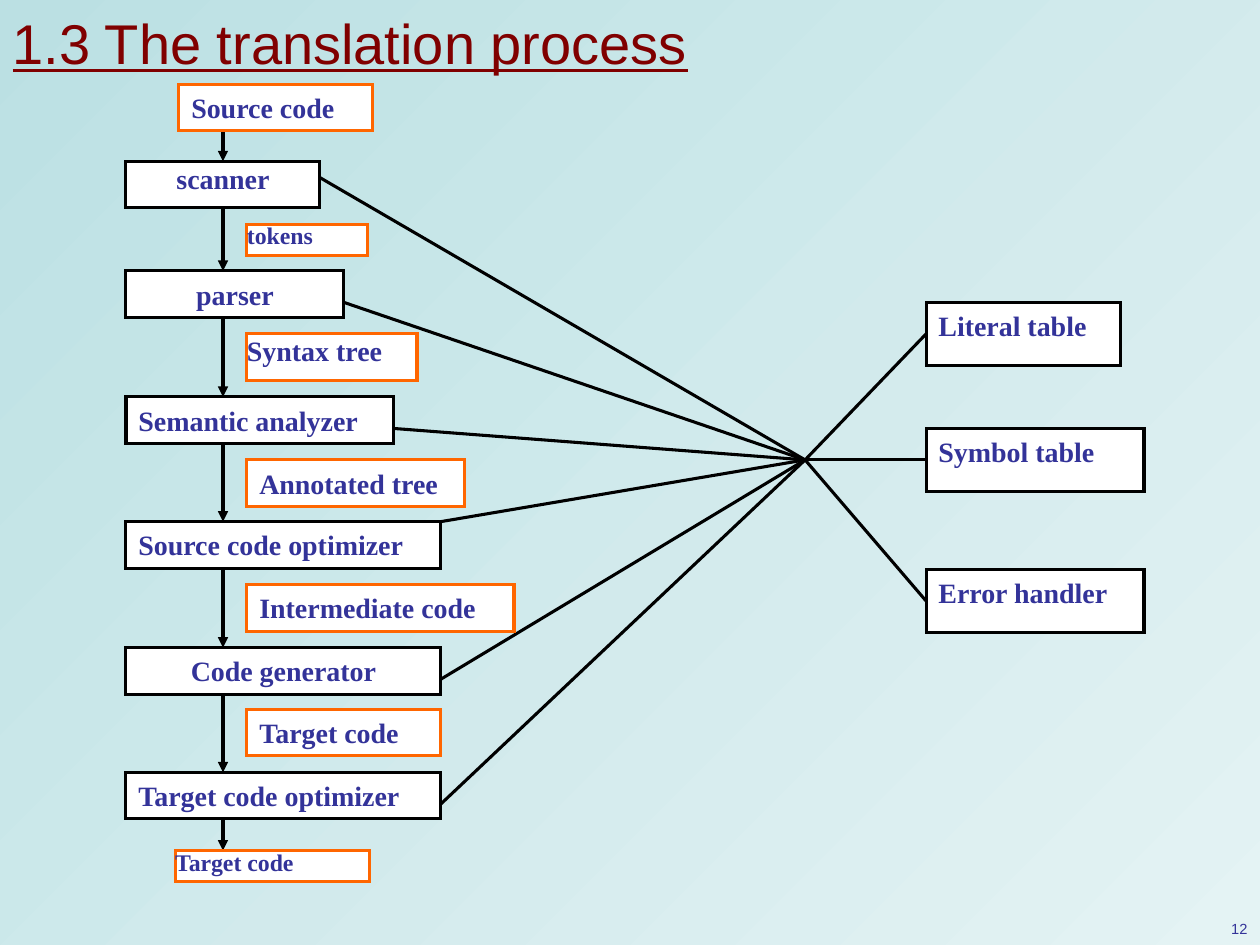
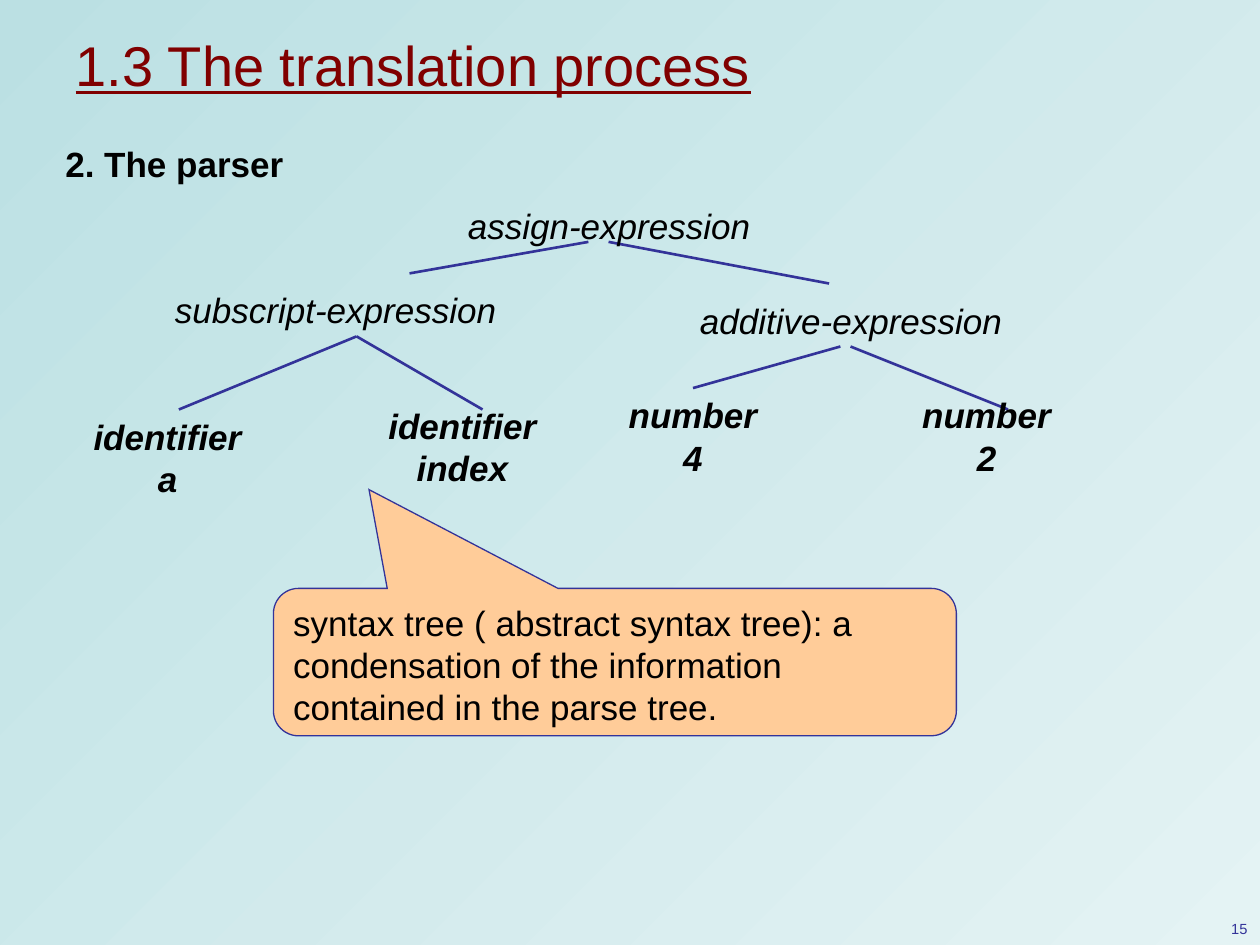
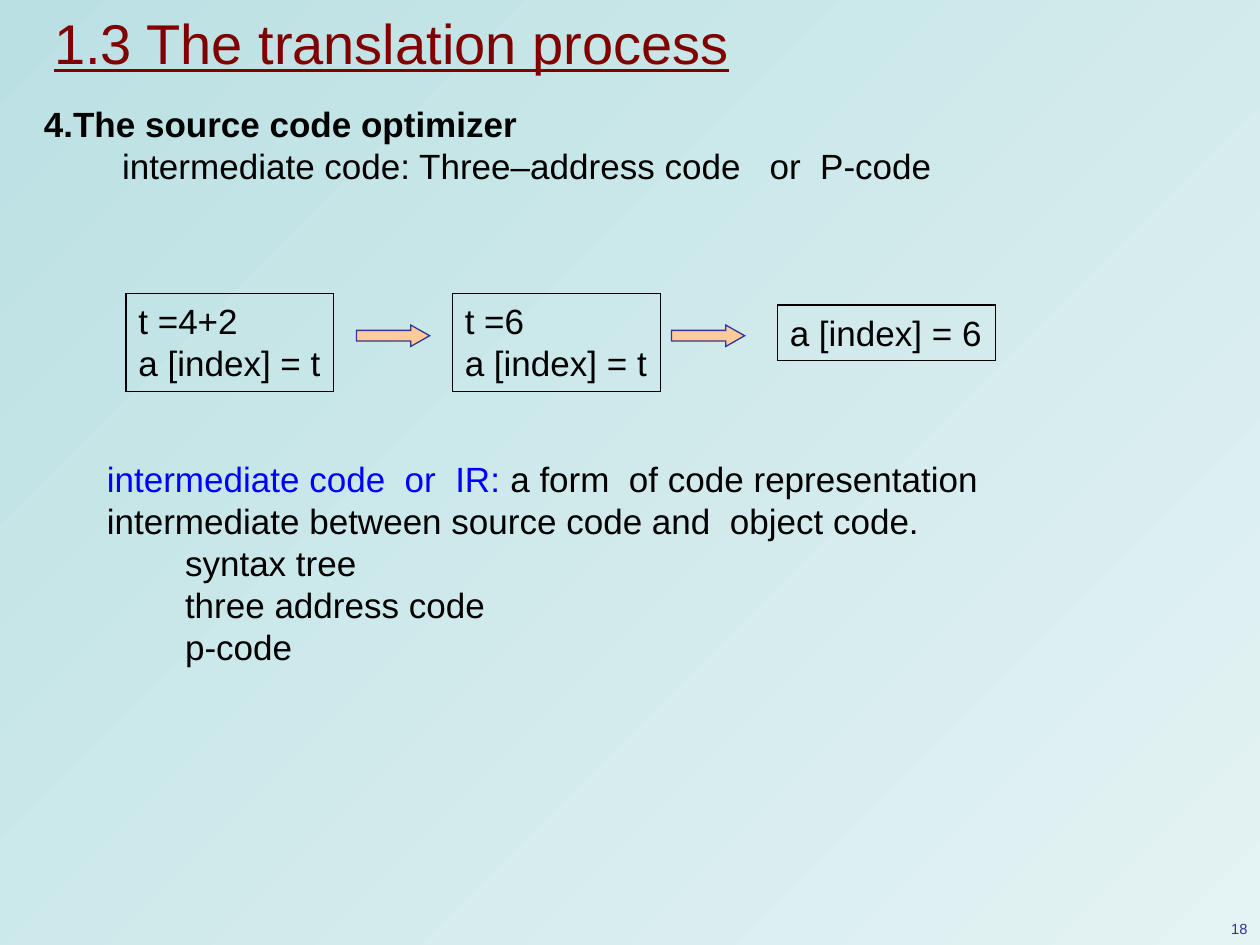
from dataclasses import dataclass
from itertools import pairwise
from typing import Optional, Sequence

from lxml import etree
from pptx import Presentation
from pptx import util as u
from pptx.dml import color as dml
from pptx.enum import shapes, text
from pptx.oxml import ns

COLORS = {
    "sky": "BBE0E3",
    "mist": "E4F3F4",
    "maroon": "800000",
    "indigo": "333399",
    "blue": "0000FF",
    "black": "000000",
    "white": "FFFFFF",
    "orange": "FF6600",
    "peach": "FFCC99",
}
TITLE = "1.3 The translation process"
TITLE_ONLY = 5
ALIGN = text.PP_ALIGN
ANCHOR = text.MSO_ANCHOR
FIT = text.MSO_AUTO_SIZE
SHAPE = shapes.MSO_SHAPE


@dataclass(frozen=True)
class Span:
    words: str
    size: float = 20
    color: str = "black"
    font: str = "Arial"
    bold: bool = False
    italic: bool = False
    underline: bool = False


@dataclass(frozen=True)
class Para:
    spans: Sequence[Span]
    align: ALIGN = ALIGN.LEFT
    indent: float = 0
    spacing: Optional[float] = None
    before: float = 0


@dataclass(frozen=True)
class Box:
    words: str
    left: float
    top: float
    width: float
    height: float = 0.37
    align: ALIGN = ALIGN.JUSTIFY
    inset: bool = True
    size: float = 16
    spacing: Optional[float] = None


@dataclass(frozen=True)
class Node:
    lines: Sequence[str]
    left: float
    top: float
    width: float = 2.17
    bold: bool = False


@dataclass(frozen=True)
class Segment:
    start: tuple[float, float]
    end: tuple[float, float]


HUB = (6.39, 3.65)
FLOW_X = 1.77
STAGES = [
    Box("scanner", 1, 1.28, 1.54, align=ALIGN.CENTER, inset=False),
    Box("parser", 1, 2.15, 1.73, align=ALIGN.CENTER),
    Box("Semantic analyzer", 1, 3.15, 2.12),
    Box("Source code optimizer", 1, 4.14, 2.5),
    Box("Code generator", 1, 5.14, 2.5, align=ALIGN.CENTER),
    Box("Target code optimizer", 1, 6.13, 2.5),
]
FAN_TOPS = [1.41, 2.4, 3.4, 4.14, 5.39, 6.38]
TABLES = [
    Box("Literal table", 7.35, 2.4, 1.54, 0.5),
    Box("Symbol table", 7.35, 3.4, 1.73, 0.5),
    Box("Error handler", 7.35, 4.52, 1.73, 0.5),
]
SOURCE = Box("Source code", 1.42, 0.67, 1.54)
TARGET = Box("Target code", 1.39, 6.75, 1.54, 0.25, inset=False, size=13.6, spacing=0.9)
PRODUCTS = [
    SOURCE,
    Box("tokens", 1.96, 1.78, 0.96, 0.25, inset=False, size=13.6, spacing=0.9),
    Box("Syntax tree", 1.96, 2.65, 1.35, inset=False),
    Box("Annotated tree", 1.96, 3.65, 1.73),
    Box("Intermediate code", 1.96, 4.64, 2.12),
    Box("Target code", 1.96, 5.63, 1.54),
    TARGET,
]
TREE_NODES = [
    Node(["assign-expression"], 3.75, 1.58),
    Node(["subscript-expression"], 1.58, 2.25),
    Node(["additive-expression"], 5.67, 2.33),
    Node(["identifier", "a"], 0.58, 3.42, 1.5, True),
    Node(["identifier", "index"], 2.92, 3.33, 1.5, True),
    Node(["number", "4"], 4.75, 3.25, 1.5, True),
    Node(["number", "2"], 7.08, 3.25, 1.5, True),
]
TREE_EDGES = [
    Segment((4.67, 1.92), (3.25, 2.17)),
    Segment((4.83, 1.92), (6.58, 2.25)),
    Segment((2.83, 2.67), (1.42, 3.25)),
    Segment((2.83, 2.67), (3.83, 3.25)),
    Segment((6.67, 2.75), (5.5, 3.08)),
    Segment((6.75, 2.75), (8, 3.25)),
]
CODE_STEPS = [
    Node(["t =4+2", "a [index] = t"], 1, 2.33, 1.65),
    Node(["t =6", "a [index] = t"], 3.59, 2.33, 1.65),
    Node(["a [index] = 6"], 6.17, 2.42, 1.73),
]


def rgb(name: str) -> dml.RGBColor:
    return dml.RGBColor.from_string(COLORS[name])


def write(shape, paras: Sequence[Para], anchor=ANCHOR.TOP, wrap=True, inset=True, fit=FIT.NONE):
    frame = shape.text_frame
    frame.word_wrap = wrap
    frame.auto_size = fit
    frame.vertical_anchor = anchor
    frame.margin_left = frame.margin_right = u.Inches(0.1 if inset else 0)
    frame.margin_top = frame.margin_bottom = u.Inches(0.05 if inset else 0)
    for index, item in enumerate(paras):
        para = frame.add_paragraph() if index else frame.paragraphs[0]
        para.alignment = item.align
        para.space_before = u.Pt(item.before)
        if item.spacing:
            para.line_spacing = item.spacing
        if item.indent:
            properties = para._p.get_or_add_pPr()
            properties.set("marL", str(u.Inches(item.indent)))
            properties.set("indent", "0")
        for span in item.spans:
            run = para.add_run()
            run.text = span.words
            run.font.size = u.Pt(span.size)
            run.font.name = span.font
            run.font.color.rgb = rgb(span.color)
            run.font.bold = span.bold
            run.font.italic = span.italic
            run.font.underline = span.underline
            run._r.get_or_add_rPr().set("kern", "0")


def add_text(page, left: float, top: float, width: float, height: float, paras, **options):
    area = page.shapes.add_textbox(*map(u.Inches, (left, top, width, height)))
    write(area, paras, **options)


def add_figure(page, kind, left: float, top: float, width: float, height: float,
               line: str, weight: float, fill: Optional[str] = None):
    figure = page.shapes.add_shape(kind, *map(u.Inches, (left, top, width, height)))
    figure.shadow.inherit = False
    if fill:
        figure.fill.solid()
        figure.fill.fore_color.rgb = rgb(fill)
    else:
        figure.fill.background()
    figure.line.color.rgb = rgb(line)
    figure.line.width = u.Pt(weight)
    etree.SubElement(figure.line._get_or_add_ln(), ns.qn("a:miter"), lim="800000")
    return figure


def add_box(page, box: Box, line: str):
    figure = add_figure(page, SHAPE.RECTANGLE, box.left, box.top, box.width, box.height,
                        line, 1.75, "white")
    span = Span(box.words, box.size, "indigo", "Times New Roman", bold=True)
    write(figure, [Para([span], box.align, spacing=box.spacing)], inset=box.inset)
    return figure


def add_line(page, segment: Segment, color="black", weight=1.75, arrow=False):
    line = page.shapes.add_connector(
        shapes.MSO_CONNECTOR.STRAIGHT, *map(u.Inches, (*segment.start, *segment.end)))
    line.line.color.rgb = rgb(color)
    line.line.width = u.Pt(weight)
    if arrow:
        etree.SubElement(line.line._get_or_add_ln(), ns.qn("a:tailEnd"), type="triangle")
    etree.SubElement(line._element.spPr, ns.qn("a:effectLst"))
    return line


def paint_background(deck):
    fill = deck.slide_master.background.fill
    fill.gradient()
    fill.gradient_angle = 315
    for stop, position, name in zip(fill.gradient_stops, (0, 1), ("sky", "mist")):
        stop.position = position
        stop.color.rgb = rgb(name)


def add_page(deck, number: int, left: float, top: float, width: float):
    page = deck.slides.add_slide(deck.slide_layouts[TITLE_ONLY])
    title = page.shapes.title
    title.left, title.top, title.width, title.height = map(u.Inches, (left, top, width, 0.67))
    write(title, [Para([Span(TITLE, 32, "maroon", underline=True)])], anchor=ANCHOR.MIDDLE)
    add_text(page, 9.58, 7.25, 0.42, 0.25,
             [Para([Span(str(number), 8.4, "indigo")], ALIGN.RIGHT)])
    return page


def build_process(deck):
    page = add_page(deck, 12, 0, 0, 9)
    scanner, *_ = [add_box(page, stage, "black") for stage in STAGES]
    flow = [
        add_line(page, Segment((FLOW_X, upper.top + upper.height), (FLOW_X, lower.top)), arrow=True)
        for upper, lower in pairwise([SOURCE, *STAGES, TARGET])
    ]
    flow[0].end_connect(scanner, 0)
    flow[1].begin_connect(scanner, 2)
    for stage, top in zip(STAGES, FAN_TOPS):
        add_line(page, Segment((stage.left + stage.width, top), HUB))
    for table in TABLES:
        figure = add_box(page, table, "black")
        middle = (table.left, table.top + table.height / 2)
        add_line(page, Segment(HUB, middle)).end_connect(figure, 1)
    for product in PRODUCTS:
        add_box(page, product, "orange")


def build_parser(deck):
    page = add_page(deck, 15, 0.5, 0.17, 9.33)
    add_text(page, 0.42, 1.08, 9, 0.5,
             [Para([Span("2. The parser", bold=True)], ALIGN.JUSTIFY, before=5)])
    for edge in TREE_EDGES:
        add_line(page, edge, "indigo", 1.5)
    for node in TREE_NODES:
        paras = [Para([Span(line, bold=node.bold, italic=True)], ALIGN.CENTER)
                 for line in node.lines]
        add_text(page, node.left, node.top, node.width, 0.42, paras,
                 anchor=ANCHOR.MIDDLE, wrap=False)
    callout = add_figure(page, SHAPE.ROUNDED_RECTANGULAR_CALLOUT, 2.17, 4.67, 5.42, 1.17,
                         "indigo", 0.75, "peach")
    for index, value in enumerate((-0.36, -1.17, 0.17)):
        callout.adjustments[index] = value
    write(callout, [Para([Span("syntax tree ( abstract syntax tree): a condensation of the "
                               "information contained in the parse tree.")])])


def build_optimizer(deck):
    page = add_page(deck, 18, 0.33, 0, 9.08)
    add_text(page, 0.25, 0.83, 9.08, 1.67, [
        Para([Span("4.The source code optimizer", bold=True)], spacing=0.8, before=5),
        Para([Span("intermediate code: Three–address code   or  P-code")],
             ALIGN.JUSTIFY, indent=0.62, spacing=0.8, before=5),
    ])
    for step in CODE_STEPS:
        height = 0.1 + 0.34 * len(step.lines)
        figure = add_figure(page, SHAPE.RECTANGLE, step.left, step.top, step.width, height,
                            "black", 0.75)
        write(figure, [Para([Span(line)]) for line in step.lines], wrap=False)
    for left in (2.83, 5.33):
        arrow = add_figure(page, SHAPE.RIGHT_ARROW, left, 2.58, 0.58, 0.17,
                           "indigo", 0.75, "peach")
        arrow.adjustments[1] = 0.88
    definition = Para([
        Span("intermediate code  or  IR:", color="blue"),
        Span(" a form  of code representation intermediate between source code and  object code."),
    ])
    forms = [Para([Span(form)], indent=0.62)
             for form in ("syntax tree", "three address code", "p-code")]
    add_text(page, 0.75, 3.58, 8.58, 1.77, [definition, *forms], fit=FIT.SHAPE_TO_FIT_TEXT)


def main():
    deck = Presentation()
    deck.slide_width = u.Inches(10)
    deck.slide_height = u.Inches(7.5)
    paint_background(deck)
    build_process(deck)
    build_parser(deck)
    build_optimizer(deck)
    deck.save("out.pptx")


if __name__ == "__main__":
    main()
